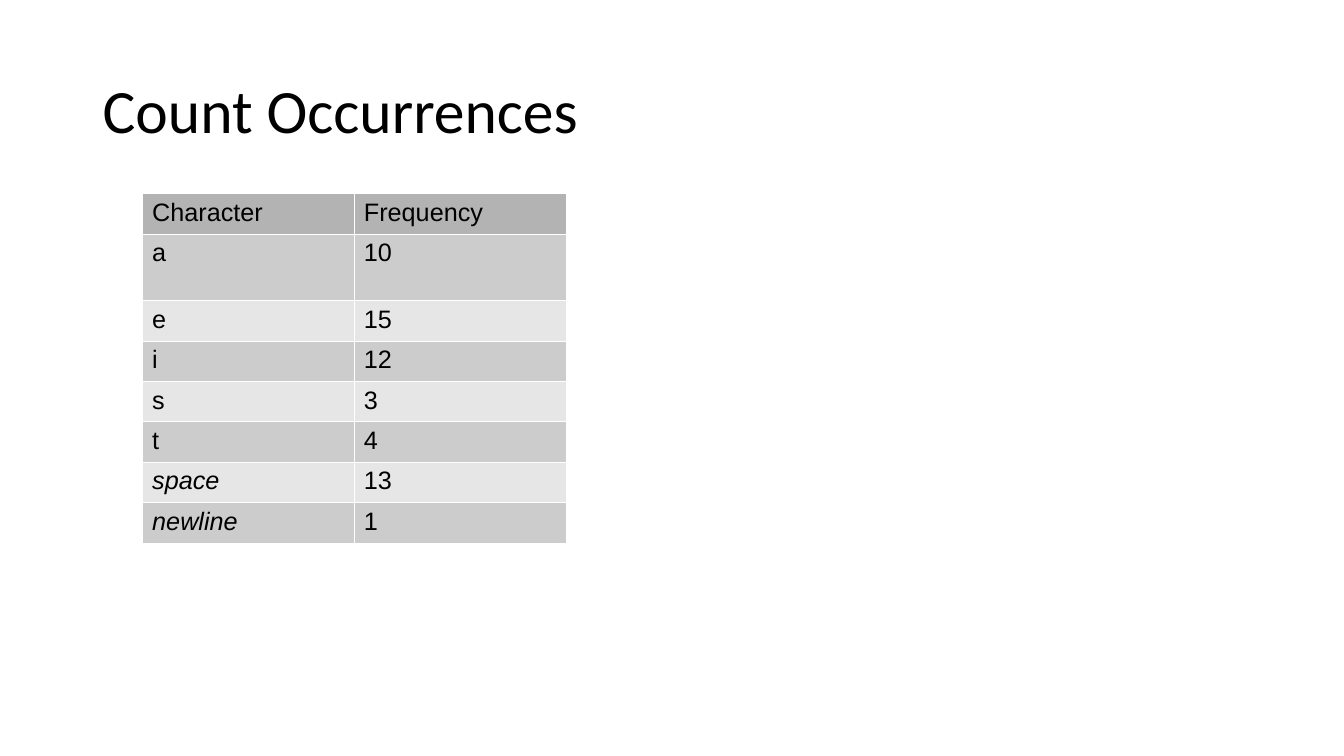
from lxml import etree
from pptx import Presentation
from pptx.dml.color import RGBColor
from pptx.enum.text import MSO_ANCHOR
from pptx.oxml.ns import qn
from pptx.util import Inches, Pt

MIDDLE = MSO_ANCHOR.MIDDLE
BLACK = RGBColor(0x00, 0x00, 0x00)
WHITE = RGBColor(0xFF, 0xFF, 0xFF)
HEADER_GRAY = RGBColor(0xB3, 0xB3, 0xB3)
BAND_GRAYS = (RGBColor(0xCC, 0xCC, 0xCC), RGBColor(0xE6, 0xE6, 0xE6))

TITLE = "Count Occurrences"
HEADINGS = ("Character", "Frequency")
COUNTS = [
    ("a", 10),
    ("e", 15),
    ("i", 12),
    ("s", 3),
    ("t", 4),
    ("space", 13),
    ("newline", 1),
]
NAMED_CHARACTERS = ("space", "newline")
COLUMN_WIDTH, ROW_HEIGHT, TALL_ROW_HEIGHT = 2.1, 0.4, 0.66
TALL_ROW = 1
BORDER_WIDTH = Pt(0.06)


def add_span(para, text, font, size, italic=False):
    span = para.add_run()
    span.text = text
    span.font.name = font
    span.font.size = Pt(size)
    span.font.bold = False
    span.font.italic = italic
    span.font.color.rgb = BLACK


def add_borders(cell):
    properties = cell._tc.get_or_add_tcPr()
    for place, side in enumerate(("a:lnL", "a:lnR", "a:lnT", "a:lnB")):
        line = etree.Element(qn(side), w=str(BORDER_WIDTH))
        fill = etree.SubElement(line, qn("a:solidFill"))
        etree.SubElement(fill, qn("a:srgbClr"), val=str(WHITE))
        properties.insert(place, line)


deck = Presentation()
deck.slide_width, deck.slide_height = Inches(13.33), Inches(7.5)
page = deck.slides.add_slide(deck.slide_layouts[6])

box = page.shapes.add_textbox(Inches(0.92), Inches(0.4), Inches(11.5), Inches(1.45))
box.text_frame.word_wrap = True
box.text_frame.vertical_anchor = MIDDLE
heading = box.text_frame.paragraphs[0]
heading.line_spacing = 0.9
add_span(heading, TITLE, "Calibri", 44)

rows = [HEADINGS] + COUNTS
heights = [TALL_ROW_HEIGHT if i == TALL_ROW else ROW_HEIGHT for i in range(len(rows))]
table = page.shapes.add_table(
    len(rows), len(HEADINGS), Inches(1.41), Inches(1.92),
    Inches(COLUMN_WIDTH * len(HEADINGS)), Inches(sum(heights)),
).table
table.first_row = False
table.horz_banding = False
for column in table.columns:
    column.width = Inches(COLUMN_WIDTH)

for i, (values, height) in enumerate(zip(rows, heights)):
    table.rows[i].height = Inches(height)
    for j, value in enumerate(values):
        cell = table.cell(i, j)
        cell.fill.solid()
        cell.fill.fore_color.rgb = BAND_GRAYS[(i - 1) % 2] if i else HEADER_GRAY
        add_borders(cell)
        add_span(cell.text_frame.paragraphs[0], str(value), "Arial", 18,
                 value in NAMED_CHARACTERS)

deck.save("out.pptx")
